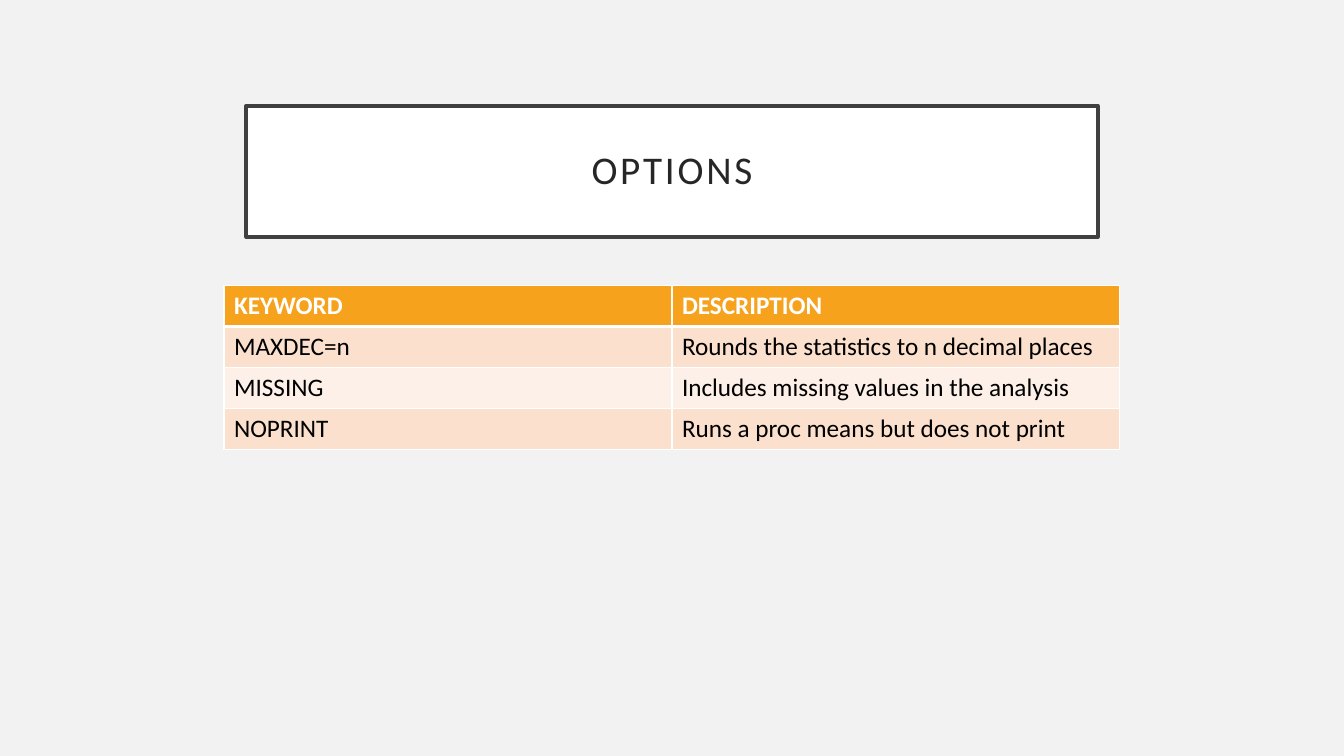
from lxml.etree import SubElement
from pptx import Presentation
from pptx.dml.color import RGBColor
from pptx.enum.shapes import MSO_SHAPE
from pptx.enum.text import MSO_ANCHOR, PP_ALIGN
from pptx.oxml.ns import qn
from pptx.util import Pt

WHITE = "FFFFFF"
HEADER_FILL = "F6A21D"
BAND_FILLS = ("FBE0CD", "FDF0E8")
OPTIONS = [
    ("KEYWORD", "DESCRIPTION"),
    ("MAXDEC=n", "Rounds the statistics to n decimal places"),
    ("MISSING", "Includes missing values in the analysis"),
    ("NOPRINT", "Runs a proc means but does not print"),
]


def color(hex_string):
    return RGBColor.from_string(hex_string)


def paint(target, hex_string):
    target.fill.solid()
    target.fill.fore_color.rgb = color(hex_string)


class SlideBuilder:
    font_name = "Calibri"

    def __init__(self, slide, background):
        self.slide = slide
        paint(slide.background, background)

    def format_run(self, paragraph, size, hex_string, bold=False):
        run = paragraph.runs[0]
        run.font.name = self.font_name
        run.font.size = Pt(size)
        run.font.bold = bold
        run.font.color.rgb = color(hex_string)
        return run

    def title(self, text, left, top, width, height):
        shape = self.slide.shapes.add_shape(
            MSO_SHAPE.RECTANGLE, Pt(left), Pt(top), Pt(width), Pt(height))
        shape.shadow.inherit = False
        paint(shape, WHITE)
        shape.line.color.rgb = color("404040")
        shape.line.width = Pt(2.5)
        frame = shape.text_frame
        frame.word_wrap = True
        frame.vertical_anchor = MSO_ANCHOR.MIDDLE
        for side in ("left", "top", "right", "bottom"):
            setattr(frame, f"margin_{side}", Pt(14.4))
        frame.text = text
        paragraph = frame.paragraphs[0]
        paragraph.alignment = PP_ALIGN.CENTER
        paragraph.line_spacing = 0.9
        run = self.format_run(paragraph, 28, "262626")
        run.font._element.set("spc", "200")

    def borders(self, cell, top, bottom):
        properties = cell._tc.get_or_add_tcPr()
        widths = {"a:lnL": 1, "a:lnR": 1, "a:lnT": top, "a:lnB": bottom}
        for tag, width in widths.items():
            line = SubElement(properties, qn(tag), w=str(Pt(width)))
            fill = SubElement(line, qn("a:solidFill"))
            SubElement(fill, qn("a:srgbClr"), val=WHITE)

    def table(self, rows, left, top, width, row_height):
        table = self.slide.shapes.add_table(
            len(rows), len(rows[0]), Pt(left), Pt(top),
            Pt(width), Pt(row_height * len(rows))).table
        for row_index, texts in enumerate(rows):
            header = row_index == 0
            fill = HEADER_FILL if header else BAND_FILLS[(row_index - 1) % 2]
            for column_index, text in enumerate(texts):
                cell = table.cell(row_index, column_index)
                cell.text_frame.text = text
                self.format_run(cell.text_frame.paragraphs[0], 18,
                                WHITE if header else "000000", header)
                self.borders(cell, 3 if row_index == 1 else 1, 3 if header else 1)
                paint(cell, fill)


def main():
    presentation = Presentation()
    presentation.slide_width = Pt(960)
    presentation.slide_height = Pt(540)
    slide = presentation.slides.add_slide(presentation.slide_layouts[6])
    builder = SlideBuilder(slide, "F2F2F2")
    builder.title("OPTIONS", 175.8, 75.6, 608.4, 93.6)
    builder.table(OPTIONS, 160, 204, 640, 29.2)
    presentation.save("out.pptx")


if __name__ == "__main__":
    main()
